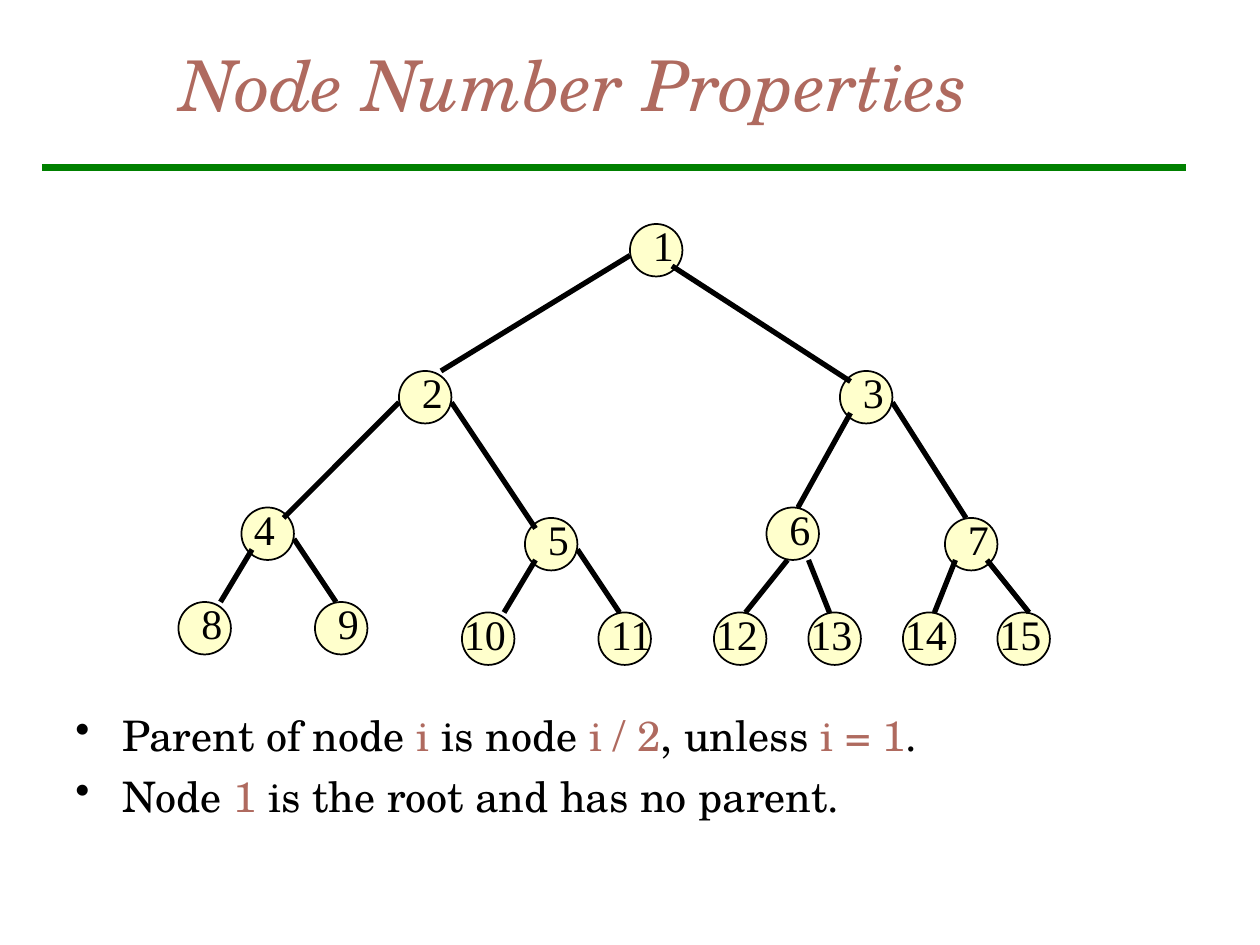
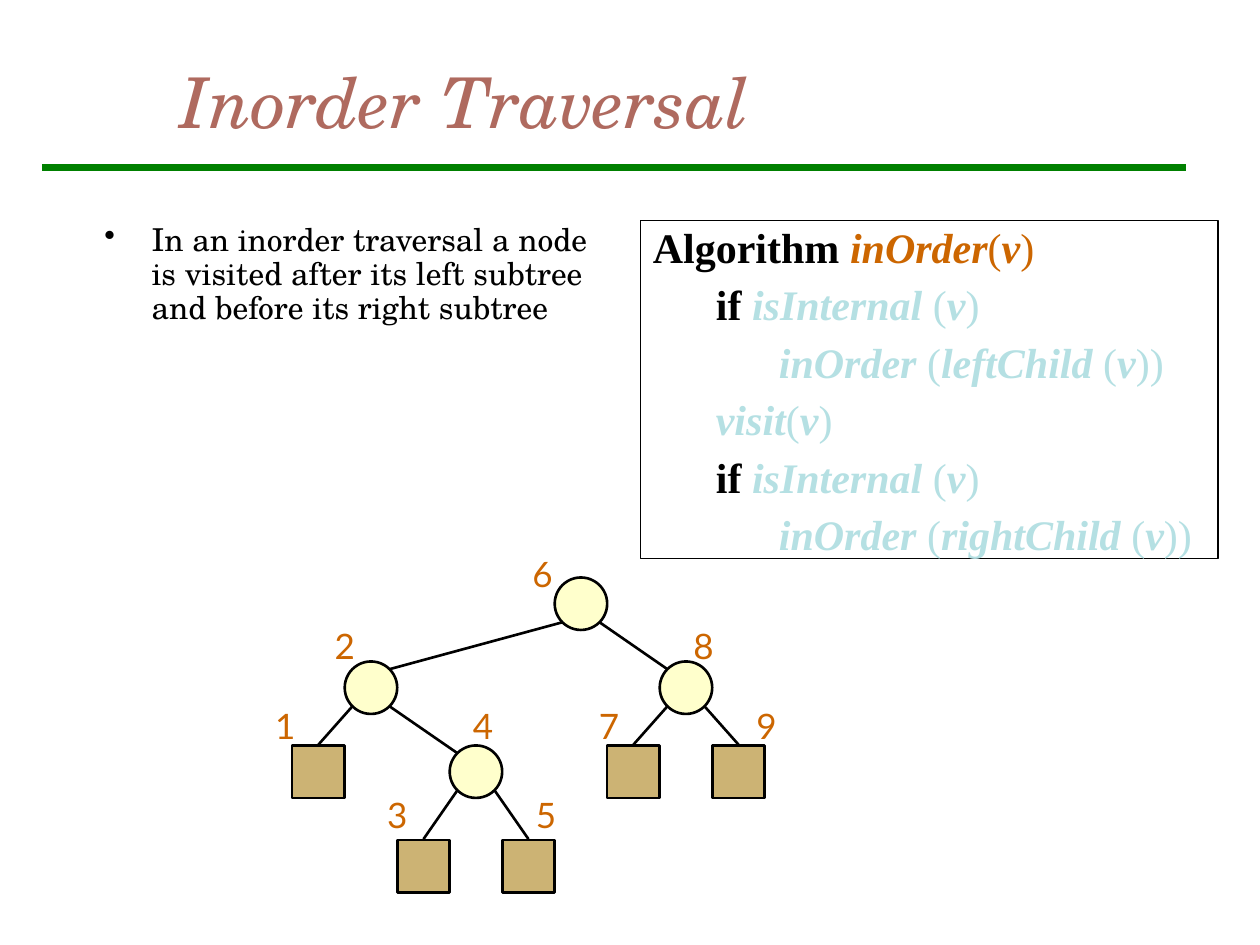
from dataclasses import dataclass
from itertools import groupby

from lxml import etree
from pptx import Presentation
from pptx.dml.color import RGBColor
from pptx.enum.shapes import MSO_CONNECTOR, MSO_SHAPE
from pptx.enum.text import MSO_ANCHOR, MSO_AUTO_SIZE, PP_ALIGN
from pptx.oxml.ns import qn
from pptx.util import Pt

OVAL, RECT = MSO_SHAPE.OVAL, MSO_SHAPE.RECTANGLE
LINE = MSO_CONNECTOR.STRAIGHT
TOP, MIDDLE = MSO_ANCHOR.TOP, MSO_ANCHOR.MIDDLE
LEFT, CENTER = PP_ALIGN.LEFT, PP_ALIGN.CENTER
FIXED = MSO_AUTO_SIZE.NONE

BLACK, GREEN, ROSE = "000000", "008000", "AF6A5F"
CREAM, TAN, ORANGE, AQUA = "FFFFCC", "CCB374", "CC6600", "B5E0E3"
SCHOLA, TIMES, LATO = "TeX Gyre Schola", "Times New Roman", "Lato"
SIDE = 30  # width and height of every tree node
CUT = 4.4  # inset of the point at 45 degrees on a node circle

Spot = tuple[float, float]
Box = tuple[float, float, float, float]


@dataclass
class Run:
    text: str
    ink: str = BLACK
    bold: bool = False
    slant: bool = False


@dataclass
class Para:
    runs: list[Run]
    left: float = 0


@dataclass
class Node:
    """Numbered node; start and end are edge offsets at the parent and here."""
    at: Spot
    start: Spot = (0, 0)
    end: Spot = (0, 0)
    shift: float = 6


@dataclass
class Step:
    """Node of the traversal; top, parent number and label offset."""
    top: float
    above: int
    label: Spot
    leaf: bool = False


def color(code: str) -> RGBColor:
    return RGBColor.from_string(code)


def shift(spot: Spot, by: Spot) -> Spot:
    return spot[0] + by[0], spot[1] + by[1]


def write(frame, paras: list[Para], *, font: str, size: float, gap: float = 0,
          pitch: float = 1, bullet: bool = False, wrap: bool = True,
          align=LEFT, anchor=TOP) -> None:
    frame.word_wrap, frame.auto_size = wrap, FIXED
    frame.vertical_anchor = anchor
    for n, item in enumerate(paras):
        para = frame.paragraphs[0] if n == 0 else frame.add_paragraph()
        props = para._p.get_or_add_pPr()
        if bullet:
            props.set("marL", str(Pt(27)))
            props.set("indent", str(-Pt(27)))
            tint = etree.SubElement(props, qn("a:buClr"))
            etree.SubElement(tint, qn("a:srgbClr")).set("val", BLACK)
            etree.SubElement(props, qn("a:buChar")).set("char", "•")
        elif item.left:
            props.set("marL", str(Pt(item.left)))
        para.alignment, para.line_spacing = align, pitch
        para.space_before = Pt(gap if n else 0)
        for part in item.runs:
            run = para.add_run()
            run.text = part.text
            run.font.name, run.font.size = font, Pt(size)
            run.font.bold, run.font.italic = part.bold, part.slant
            run.font.color.rgb = color(part.ink)


def add_text(slide, box: Box, paras: list[Para], **form) -> None:
    area = slide.shapes.add_textbox(*map(Pt, box))
    write(area.text_frame, paras, **form)


def add_line(slide, start: Spot, end: Spot, width: float, ink: str = BLACK) -> None:
    line = slide.shapes.add_connector(LINE, *map(Pt, start + end))
    line.line.color.rgb, line.line.width = color(ink), Pt(width)
    etree.SubElement(line._element.spPr, qn("a:effectLst"))


def add_form(slide, kind, box: Box, width: float, fill: str | None = None):
    form = slide.shapes.add_shape(kind, *map(Pt, box))
    form.shadow.inherit = False
    if fill:
        form.fill.solid()
        form.fill.fore_color.rgb = color(fill)
    else:
        form.fill.background()
    form.line.color.rgb, form.line.width = color(BLACK), Pt(width)
    return form


def add_page(deck, title: str, top: float, height: float):
    """Title-only slide with the shared title style and green rule."""
    slide = deck.slides.add_slide(deck.slide_layouts[5])
    add_line(slide, (24, 96), (678, 96), 4, GREEN)
    head = slide.shapes.title
    head.left, head.top, head.width, head.height = map(Pt, (96, top, 612, height))
    write(head.text_frame, [Para([Run(title, ROSE, slant=True)])],
          font=SCHOLA, size=40, anchor=MIDDLE)
    return slide


def code(text: str, ink: str) -> list[Run]:
    """Names in bold italics, brackets plain."""
    runs = []
    for plain, chars in groupby(text, lambda c: c in "()"):
        runs.append(Run("".join(chars), ink, not plain, not plain))
    return runs


# Numbered tree: the parent of node n is n // 2
NODES = [
    Node((360, 128)),
    Node((228, 212), (0, 18), (24, 0)),
    Node((480, 212), (24, 24), (6, 6)),
    Node((138, 290), (0, 18), (24, 6), shift=0),
    Node((300, 296), (30, 18), (6, 6)),
    Node((438, 290), (6, 24), (18, 0)),
    Node((540, 296), (30, 18), (12, 0)),
    Node((102, 344), (6, 24), (24, 0)),
    Node((180, 344), (30, 18), (12, 0)),
    Node((264, 350), (6, 24), (24, 0), shift=-6),
    Node((342, 350), (30, 18), (12, 0), shift=0),
    Node((408, 350), (12, 30), (18, 0), shift=-6),
    Node((462, 350), (24, 30), (12, 0), shift=-6),
    Node((516, 350), (6, 24), (18, 0), shift=-6),
    Node((570, 350), (24, 24), (18, 0), shift=-6),
]

# Traversal tree: nodes stand from left to right in order of visit
STEPS = {
    1: Step(426, 2, (-17, -27), leaf=True),
    2: Step(378, 6, (-13, -24.5)),
    3: Step(480, 4, (-13, -30), leaf=True),
    4: Step(426, 2, (6, -27)),
    5: Step(480, 4, (12, -30), leaf=True),
    6: Step(330, 0, (-20, -18)),
    7: Step(426, 8, (-12, -27), leaf=True),
    8: Step(378, 6, (12, -24.5)),
    9: Step(426, 8, (18, -27), leaf=True),
}


def number_page(deck) -> None:
    slide = add_page(deck, "Node Number Properties", 12, 72)
    facts = [
        Para([Run("Parent of node "), Run("i", ROSE), Run(" is node "),
              Run("i / 2", ROSE), Run(", unless "), Run("i = 1", ROSE), Run(".")]),
        Para([Run("Node "), Run("1", ROSE), Run(" is the root and has no parent.")]),
    ]
    add_text(slide, (36, 402, 654, 120), facts,
             font=SCHOLA, size=24, gap=6, bullet=True)
    for node in NODES:
        add_form(slide, OVAL, (*node.at, SIDE, SIDE), 1, CREAM)
    for n, node in enumerate(NODES[1:], 2):
        above = NODES[n // 2 - 1]
        add_line(slide, shift(above.at, node.start), shift(node.at, node.end), 3)
    for n, node in enumerate(NODES, 1):
        place = shift(node.at, (node.shift, -6))
        add_text(slide, (*place, 24 if n < 10 else 48, 36),
                 [Para([Run(str(n))])], font=TIMES, size=24)


def order_page(deck) -> None:
    slide = add_page(deck, "Inorder Traversal", 30, 55)
    fact = ("In an inorder traversal a node is visited after its left subtree "
            "and before its right subtree")
    add_text(slide, (52.5, 124.5, 295, 175), [Para([Run(fact)])],
             font=SCHOLA, size=18, pitch=0.9, bullet=True)

    # Algorithm box
    test = Para([Run("if ", bold=True), *code("isInternal (v)", AQUA)], 36)
    lines = [
        Para([Run("Algorithm ", bold=True), *code("inOrder(v)", ORANGE)]),
        test,
        Para(code("inOrder (leftChild (v))", AQUA), 72),
        Para(code("visit(v)", AQUA), 36),
        test,
        Para(code("inOrder (rightChild (v))", AQUA), 72),
    ]
    panel = add_form(slide, RECT, (366, 126, 330, 193), 0.75)
    write(panel.text_frame, lines, font=TIMES, size=24, gap=7, pitch=0.9)

    # Tree
    spots = {n: (137 + SIDE * n, step.top) for n, step in STEPS.items()}
    for n, step in STEPS.items():
        kind, fill = (RECT, TAN) if step.leaf else (OVAL, CREAM)
        add_form(slide, kind, (*spots[n], SIDE, SIDE), 1.5, fill)
    for n, step in STEPS.items():
        if step.above:
            near, far = (CUT, SIDE - CUT) if n < step.above else (SIDE - CUT, CUT)
            end = (SIDE / 2, -0.5) if step.leaf else (far, CUT)
            add_line(slide, shift(spots[step.above], (near, SIDE - CUT)),
                     shift(spots[n], end), 1.5)
    for n, step in STEPS.items():
        add_text(slide, (*shift(spots[n], step.label), 26, 32),
                 [Para([Run(str(n), ORANGE)])],
                 font=LATO, size=20, wrap=False, align=CENTER)


def main() -> None:
    deck = Presentation()
    deck.slide_width, deck.slide_height = Pt(720), Pt(540)
    number_page(deck)
    order_page(deck)
    deck.save("out.pptx")


if __name__ == "__main__":
    main()
